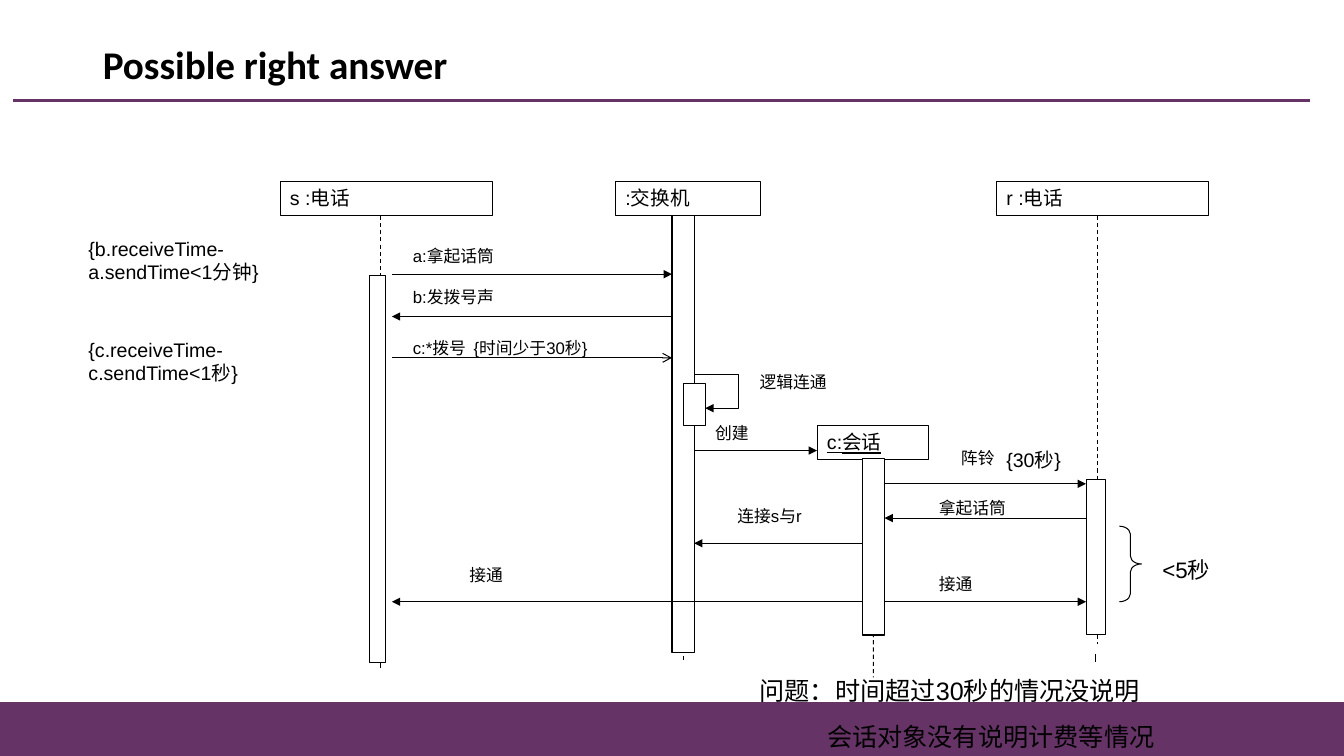
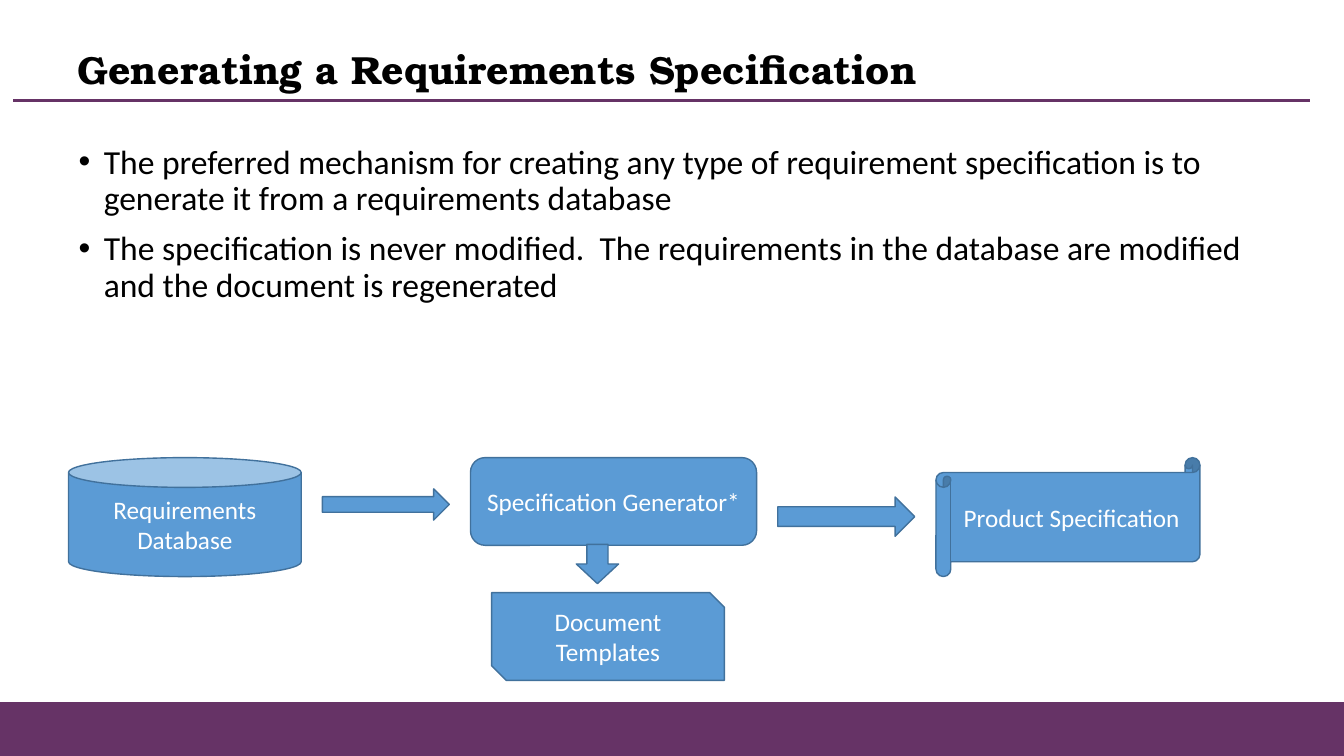
from lxml.etree import SubElement
from pptx import Presentation
from pptx.dml.color import RGBColor
from pptx.enum.dml import MSO_LINE
from pptx.enum.shapes import MSO_CONNECTOR, MSO_SHAPE
from pptx.enum.text import MSO_ANCHOR, MSO_AUTO_SIZE, PP_ALIGN
from pptx.oxml.ns import qn
from pptx.util import Inches, Pt

PURPLE, BLACK, WHITE = "663366", "000000", "FFFFFF"
BLUE, DARK_BLUE = "5B9BD5", "41719C"

# Sequence diagram: horizontal positions where messages meet the bars
PHONE, SWITCH_LEFT, SWITCH_RIGHT = 3.89, 6.67, 6.89
CALL_LEFT, CALL_RIGHT, RECEIVER = 8.56, 8.78, 10.78

# name, head box, lifeline (x, top, bottom), activation bar, underlined
PARTICIPANTS = [
    ("s :电话", (2.78, 1.8, 2.11, 0.34), (3.78, 2.14, 6.64), (3.67, 2.73, 0.16, 3.84), False),
    (":交换机", (6.11, 1.8, 1.44, 0.34), (6.78, 2.14, 6.58), (6.67, 2.14, 0.22, 4.33), False),
    ("c:会话", (8.11, 4.22, 1.11, 0.34), (8.67, 4.56, 6.72), (8.56, 4.55, 0.22, 1.75), True),
    ("r :电话", (9.89, 1.8, 2.11, 0.34), (10.89, 2.14, 6.39), (10.78, 4.76, 0.19, 1.54), False),
]
# start x, end x, y, arrowhead, label, label box
MESSAGES = [
    (PHONE, SWITCH_LEFT, 2.72, "triangle", "a:拿起话筒", (4, 2.39, 1.44, 0.3)),
    (SWITCH_LEFT, PHONE, 3.14, "triangle", "b:发拨号声", (4, 2.8, 1.67, 0.3)),
    (PHONE, SWITCH_LEFT, 3.55, "arrow", "c:*拨号  {时间少于30秒}", (4, 3.3, 2.56, 0.3)),
    (SWITCH_RIGHT, 8.11, 4.47, "triangle", "创建", (7, 4.14, 1.22, 0.3)),
    (CALL_RIGHT, RECEIVER, 4.8, "triangle", "阵铃", (9.44, 4.39, 1.22, 0.3)),
    (RECEIVER, CALL_RIGHT, 5.14, "triangle", "拿起话筒", (9.22, 4.89, 1.22, 0.3)),
    (CALL_LEFT, SWITCH_RIGHT, 5.39, "triangle", "连接s与r", (7.22, 4.97, 1.11, 0.3)),
    (CALL_RIGHT, RECEIVER, 5.97, "triangle", "接通", (9.22, 5.64, 0.78, 0.3)),
    (CALL_LEFT, PHONE, 5.97, "triangle", "接通", (4.56, 5.55, 0.78, 0.3)),
]
SELF_CALL_BAR = (6.78, 3.8, 0.22, 0.42)
SELF_CALL_PATH = [(6.89, 3.72), (7.33, 3.72), (7.33, 4.05), (7, 4.05)]
# text, box, size
NOTES = [
    ("逻辑连通", (7.44, 3.64, 1.78, 0.3), 12),
    ("{b.receiveTime-a.sendTime<1分钟}", (0.78, 2.3, 2.67, 0.57), 14),
    ("{c.receiveTime-c.sendTime<1秒}", (0.78, 3.3, 2.67, 0.57), 14),
    ("<5秒", (11.44, 5.47, 0.89, 0.37), 16),
    ("{30秒}", (9.89, 4.39, 1.33, 0.34), 14),
]
PROBLEMS = ["问题：时间超过30秒的情况没说明", "会话对象没有说明计费等情况"]

BULLETS = [
    "The preferred mechanism for creating any type of requirement specification"
    " is to generate it from a requirements database",
    "The specification is never modified.  The requirements in the database"
    " are modified and the document is regenerated",
]
# preset, box, text
FLOW = [
    (MSO_SHAPE.CAN, (0.68, 4.54, 2.31, 1.18), "Requirements Database"),
    (MSO_SHAPE.ROUNDED_RECTANGLE, (4.67, 4.54, 2.84, 0.87), "Specification Generator*"),
    (MSO_SHAPE.SNIP_2_DIAG_RECTANGLE, (4.88, 5.88, 2.31, 0.87), "Document Templates"),
    (MSO_SHAPE.RIGHT_ARROW, (3.2, 4.85, 1.26, 0.31), ""),
    (MSO_SHAPE.HORIZONTAL_SCROLL, (9.29, 4.54, 2.62, 1.18), "Product Specification"),
    (MSO_SHAPE.DOWN_ARROW, (5.72, 5.4, 0.42, 0.39), ""),
    (MSO_SHAPE.RIGHT_ARROW, (7.72, 4.93, 1.36, 0.39), ""),
]


def rgb(color):
    return RGBColor.from_string(color)


def set_values(target, **values):
    for name, value in values.items():
        setattr(target, name, value)


def place(shape, box):
    set_values(shape, **dict(zip(("left", "top", "width", "height"), map(Inches, box))))


def write(shape, lines, size, color=BLACK, font="Arial", gap=0, frame=None,
          paragraph_format=None, **font_values):
    """Fill a shape with paragraphs that share one format; gap separates them."""
    text_frame = shape.text_frame
    set_values(text_frame, word_wrap=True, auto_size=MSO_AUTO_SIZE.NONE, **(frame or {}))
    for index, line in enumerate(lines):
        paragraph = text_frame.add_paragraph() if index else text_frame.paragraphs[0]
        paragraph.text = line
        set_values(paragraph, space_before=Pt(gap if index else 0),
                   **{"alignment": PP_ALIGN.LEFT, **(paragraph_format or {})})
        set_values(paragraph.font, name=font, size=Pt(size), **font_values)
        paragraph.font.color.rgb = rgb(color)


def set_indent(paragraph, left, first=0):
    properties = paragraph._p.get_or_add_pPr()
    properties.set("marL", str(Inches(left)))
    properties.set("indent", str(Inches(first)))


def set_line(shape, color, width=0.75, dash=None, head=None):
    shape.line.color.rgb = rgb(color)
    shape.line.width = Pt(width)
    if dash:
        shape.line.dash_style = dash
    if head:
        SubElement(shape.element.spPr.find(qn("a:ln")), qn("a:tailEnd"), type=head)


def add_box(slide, preset, box, fill=WHITE, line=BLACK, width=0.75):
    shape = slide.shapes.add_shape(preset, *map(Inches, box))
    shape.shadow.inherit = False
    if fill:
        shape.fill.solid()
        shape.fill.fore_color.rgb = rgb(fill)
    else:
        shape.fill.background()
    set_line(shape, line, width)
    return shape


def add_line(slide, start, end, color=BLACK, **line_format):
    line = slide.shapes.add_connector(MSO_CONNECTOR.STRAIGHT, *map(Inches, start + end))
    set_line(line, color, **line_format)
    SubElement(line.element.spPr, qn("a:effectLst"))
    return line


def add_label(slide, lines, box, size, **text_format):
    label = slide.shapes.add_textbox(*map(Inches, box))
    write(label, lines, size, **text_format)
    return label


def add_master_decoration(presentation, slide):
    """Draw the footer band and title rule, then move them to the slide master."""
    band = add_box(slide, MSO_SHAPE.RECTANGLE, (0, 6.97, 13.34, 0.53), PURPLE, PURPLE, 1)
    rule = add_line(slide, (0.13, 1), (13, 1), PURPLE, width=2.25)
    for number, shape in enumerate((band, rule), start=101):
        shape.element.xpath("./*/p:cNvPr")[0].set("id", str(number))
        presentation.slide_master.shapes.element.append(shape.element)


def set_title(slide, text, box, font):
    place(slide.shapes.title, box)
    write(slide.shapes.title, [text], 28, font=font, bold=True,
          frame={"vertical_anchor": MSO_ANCHOR.MIDDLE},
          paragraph_format={"line_spacing": 0.9})


def build_sequence(slide):
    set_title(slide, "Possible right answer", (0.92, 0.3, 11.5, 0.73), "Calibri")
    for name, head_box, (x, top, bottom), bar_box, underlined in PARTICIPANTS:
        head = add_box(slide, MSO_SHAPE.RECTANGLE, head_box)
        write(head, [name], 14, underline=underlined,
              frame={"vertical_anchor": MSO_ANCHOR.TOP})
        lifeline = add_line(slide, (x, top), (x, bottom), dash=MSO_LINE.DASH)
        if abs(head_box[0] + head_box[2] / 2 - x) < 0.02:
            lifeline.begin_connect(head, 2)
        add_box(slide, MSO_SHAPE.RECTANGLE, bar_box)
    add_line(slide, (10.87, 6.49), (10.87, 6.57))

    add_box(slide, MSO_SHAPE.RECTANGLE, SELF_CALL_BAR)
    points = [(Inches(x), Inches(y)) for x, y in SELF_CALL_PATH]
    builder = slide.shapes.build_freeform(*points[0])
    builder.add_line_segments(points[1:], close=False)
    self_call = builder.convert_to_shape()
    self_call.shadow.inherit = False
    self_call.fill.background()
    set_line(self_call, BLACK, head="triangle")

    for start, end, y, head, text, box in MESSAGES:
        add_label(slide, [text], box, 12)
        add_line(slide, (start, y), (end, y), head=head)
    for text, box, size in NOTES:
        add_label(slide, [text], box, size)
    brace = add_box(slide, MSO_SHAPE.RIGHT_BRACE, (11.11, 5.22, 0.22, 0.75), fill=None)
    brace.adjustments[0] = 0.36
    problems = add_label(slide, PROBLEMS, (7.44, 6.65, 5.89, 0.85), 18, gap=11.2)
    set_indent(problems.text_frame.paragraphs[1], 0.67)


def build_generation(slide):
    set_title(slide, "Generating a Requirements Specification",
              (0.67, 0.17, 12.3, 1.08), "TeX Gyre Bonum")
    body = slide.placeholders[1]
    place(body, (0.68, 1.39, 12, 5.4))
    write(body, BULLETS, 24, font="Calibri", gap=10,
          paragraph_format={"line_spacing": 0.9})
    for paragraph in body.text_frame.paragraphs:
        set_indent(paragraph, 0.25, -0.25)
    for preset, box, text in FLOW:
        shape = add_box(slide, preset, box, BLUE, DARK_BLUE, 1)
        if text:
            write(shape, [text], 18, WHITE, "Calibri",
                  frame={"vertical_anchor": MSO_ANCHOR.MIDDLE},
                  paragraph_format={"alignment": PP_ALIGN.CENTER})


def main():
    presentation = Presentation()
    set_values(presentation, slide_width=Inches(13.34), slide_height=Inches(7.5))
    title_and_content, title_only = (presentation.slide_layouts[i] for i in (1, 5))
    sequence = presentation.slides.add_slide(title_only)
    add_master_decoration(presentation, sequence)
    build_sequence(sequence)
    build_generation(presentation.slides.add_slide(title_and_content))
    presentation.save("out.pptx")


if __name__ == "__main__":
    main()
